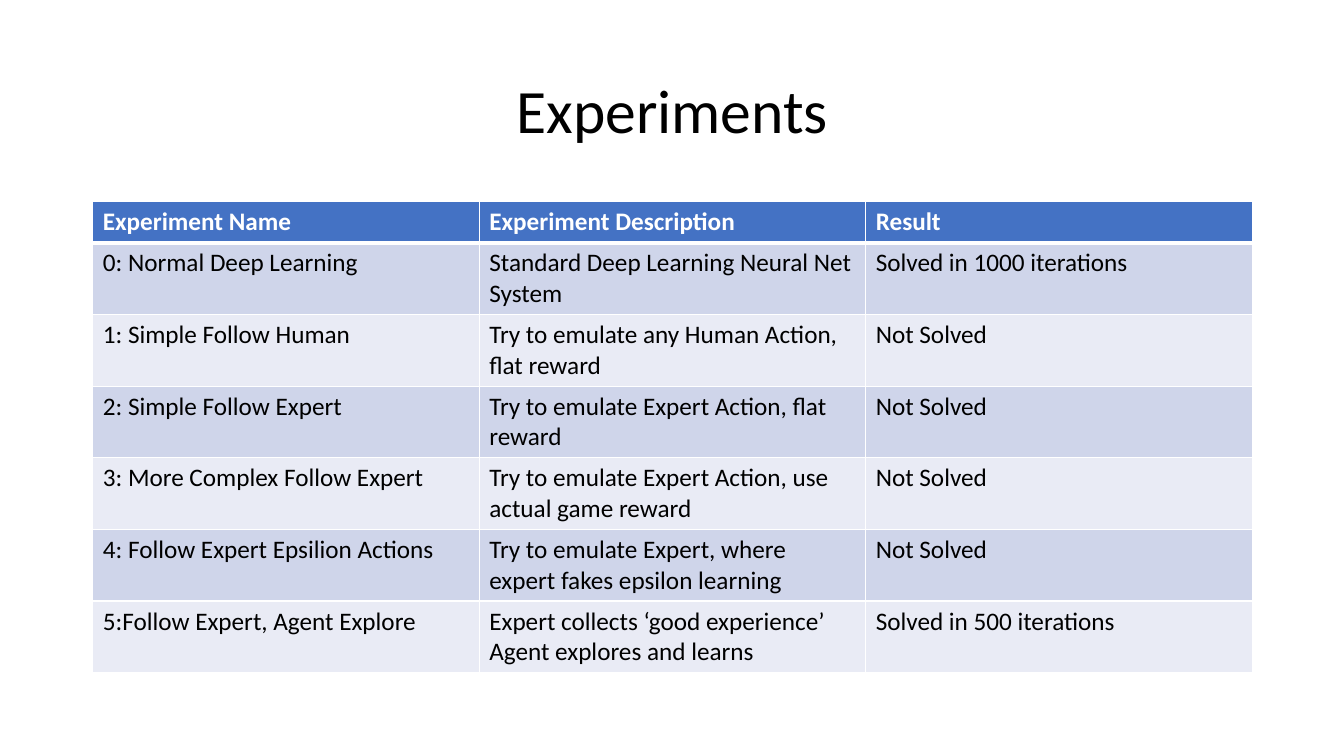
import pptx
import pptx.dml.color
import pptx.enum.text
import pptx.oxml.ns
import pptx.util
import lxml.etree

Inches = pptx.util.Inches
Pt = pptx.util.Pt
RGBColor = pptx.dml.color.RGBColor

WHITE = RGBColor(0xFF, 0xFF, 0xFF)
BLACK = RGBColor(0x00, 0x00, 0x00)
HEADER_BLUE = RGBColor(0x44, 0x72, 0xC4)
BAND_DARK = RGBColor(0xCF, 0xD5, 0xEA)
BAND_LIGHT = RGBColor(0xE9, 0xEB, 0xF5)

HEADINGS = ("Experiment Name", "Experiment Description", "Result")
EXPERIMENTS = (
    ("0: Normal Deep Learning", "Standard Deep Learning Neural Net System",
     "Solved in 1000 iterations"),
    ("1: Simple Follow Human", "Try to emulate any Human Action, flat reward",
     "Not Solved"),
    ("2: Simple Follow Expert", "Try to emulate Expert Action, flat reward",
     "Not Solved"),
    ("3: More Complex Follow Expert",
     "Try to emulate Expert Action, use actual game reward", "Not Solved"),
    ("4: Follow Expert Epsilion Actions",
     "Try to emulate Expert, where expert fakes epsilon learning", "Not Solved"),
    ("5:Follow Expert, Agent Explore",
     "Expert collects ‘good experience’ Agent explores and learns ",
     "Solved in 500 iterations"),
)


class SlideBuilder:
    font_name = "Calibri"
    title_size = Pt(44)
    table_size = Pt(18)

    def __init__(self, slide):
        self.slide = slide

    def style_font(self, para, size, color, bold=False):
        para.font.name = self.font_name
        para.font.size = size
        para.font.bold = bold
        para.font.color.rgb = color

    def title(self, text, left, top, width, height):
        box = self.slide.shapes.title
        box.left, box.top, box.width, box.height = left, top, width, height
        box.text_frame.text = text
        box.text_frame.vertical_anchor = pptx.enum.text.MSO_ANCHOR.MIDDLE
        para = box.text_frame.paragraphs[0]
        para.alignment = pptx.enum.text.PP_ALIGN.CENTER
        para.line_spacing = 0.9
        self.style_font(para, self.title_size, BLACK)

    def borders(self, cell, widths):
        qn = pptx.oxml.ns.qn
        properties = cell._tc.get_or_add_tcPr()
        for side, width in widths.items():
            line = lxml.etree.SubElement(properties, qn("a:ln" + side), w=str(Pt(width)))
            fill = lxml.etree.SubElement(line, qn("a:solidFill"))
            lxml.etree.SubElement(fill, qn("a:srgbClr"), val=str(WHITE))

    def cell(self, cell, text, fill, color, bold, widths):
        self.borders(cell, widths)
        cell.fill.solid()
        cell.fill.fore_color.rgb = fill
        cell.text = text
        self.style_font(cell.text_frame.paragraphs[0], self.table_size, color, bold)

    def table(self, rows, left, top, width, header_height, row_height):
        height = header_height + row_height * (len(rows) - 1)
        frame = self.slide.shapes.add_table(
            len(rows), len(rows[0]), left, top, width, height)
        table = frame.table
        for row_index, texts in enumerate(rows):
            header = row_index == 0
            table.rows[row_index].height = header_height if header else row_height
            band = BAND_DARK if row_index % 2 else BAND_LIGHT
            widths = {"L": 1, "R": 1, "T": 3 if row_index == 1 else 1,
                      "B": 3 if header else 1}
            for column_index, text in enumerate(texts):
                self.cell(table.cell(row_index, column_index), text,
                          HEADER_BLUE if header else band,
                          WHITE if header else BLACK, header, widths)


deck = pptx.Presentation()
deck.slide_width = Inches(13.33)
deck.slide_height = Inches(7.5)
page = SlideBuilder(deck.slides.add_slide(deck.slide_layouts[5]))
page.title("Experiments", Inches(0.92), Inches(0.4), Inches(11.5), Inches(1.45))
page.table((HEADINGS,) + EXPERIMENTS, Inches(0.92), Inches(2), Inches(11.5),
           Inches(0.41), Inches(0.7))
deck.save("out.pptx")
